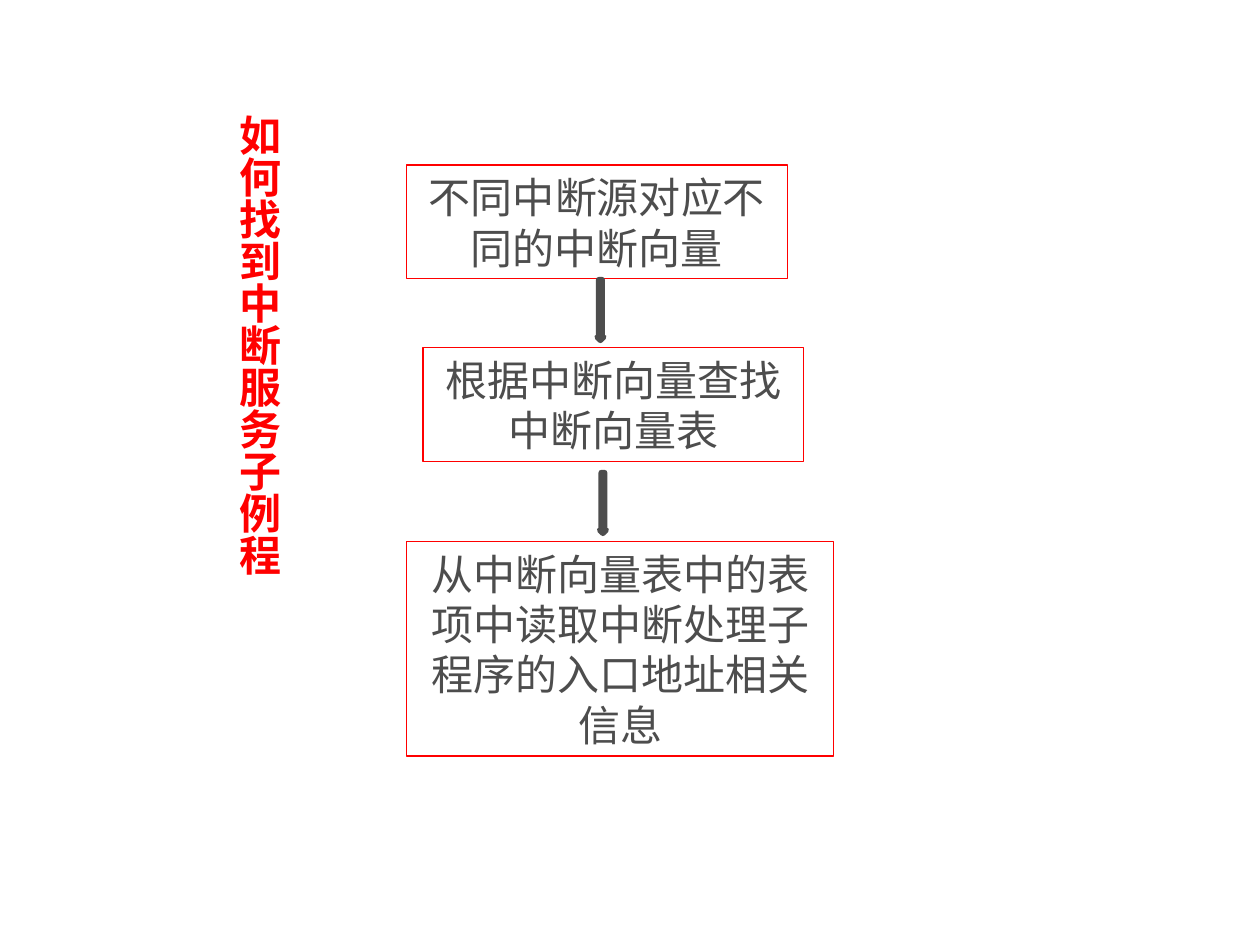
from dataclasses import dataclass

from pptx import Presentation
from pptx.dml.color import RGBColor as Color
from pptx.enum.shapes import MSO_SHAPE as Preset
from pptx.enum.text import MSO_ANCHOR as Anchor, PP_ALIGN as Align
from pptx.oxml.ns import qn
from pptx.util import Cm, Pt


@dataclass(frozen=True)
class Theme:
    red: Color = Color(0xFF, 0x00, 0x00)
    gray: Color = Color(0x4D, 0x4D, 0x4D)
    gradient: tuple = (Color(0x00, 0x00, 0x82), Color(0xFF, 0x82, 0x00))
    text_size: Pt = Pt(24)
    line_pitch: Pt = Pt(28.8)
    box_line: Pt = Pt(0.75)
    arrow_line: Pt = Pt(3.25)
    body_font: str = "Noto Sans CJK SC"
    title_font: str = "Times New Roman"


def apply_format(target, values):
    for name, value in values.items():
        setattr(target, name, value)


class FlowSlide:
    def __init__(self, presentation, theme):
        self.theme = theme
        self.slide = presentation.slides.add_slide(presentation.slide_layouts[6])

    def label(self, shape, text, color, font_name, bold, margins, spacing=None):
        frame = shape.text_frame
        horizontal, vertical = (Cm(margin) for margin in margins)
        apply_format(frame, {
            "word_wrap": True, "vertical_anchor": Anchor.TOP,
            "margin_left": horizontal, "margin_right": horizontal,
            "margin_top": vertical, "margin_bottom": vertical,
        })
        paragraph = frame.paragraphs[0]
        apply_format(paragraph, {"alignment": Align.CENTER, "line_spacing": spacing})
        run = paragraph.add_run()
        run.text = text
        apply_format(run.font, {"name": font_name, "size": self.theme.text_size, "bold": bold})
        run.font.color.rgb = color
        properties = run._r.get_or_add_rPr()
        east_asian = properties.makeelement(
            qn("a:ea"), {"typeface": self.theme.body_font})
        properties.find(qn("a:latin")).addnext(east_asian)

    def shape(self, preset, place, line_color, line_width):
        shape = self.slide.shapes.add_shape(preset, *map(Cm, place))
        shape.shadow.inherit = False
        shape.line.color.rgb = line_color
        shape.line.width = line_width
        return shape

    def step(self, text, *place):
        theme = self.theme
        shape = self.shape(Preset.RECTANGLE, place, theme.red, theme.box_line)
        shape.fill.background()
        self.label(shape, text, theme.gray, theme.body_font, False,
                   (0.25, 0.13), theme.line_pitch)

    def arrow(self, *place):
        theme = self.theme
        shape = self.shape(Preset.DOWN_ARROW, place, theme.gray, theme.arrow_line)
        shape.fill.gradient()
        shape.fill.gradient_angle = 270
        for stop, color in zip(shape.fill.gradient_stops, theme.gradient):
            stop.color.rgb = color

    def vertical_title(self, text, *place):
        theme = self.theme
        shape = self.slide.shapes.add_textbox(*map(Cm, place))
        self.label(shape, text, theme.red, theme.title_font, True, (0.13, 0.25))
        shape.text_frame._txBody.bodyPr.set("vert", "eaVert")


def main():
    presentation = Presentation()
    apply_format(presentation, {"slide_width": Cm(25.4), "slide_height": Cm(19.05)})
    flow = FlowSlide(presentation, Theme())
    flow.step("不同中断源对应不同的中断向量", 8.2, 3.33, 7.67, 2.29)
    flow.step("根据中断向量查找中断向量表", 8.53, 7.01, 7.67, 2.29)
    flow.step("从中断向量表中的表项中读取中断处理子程序的入口地址相关信息",
              8.2, 10.92, 8.61, 4.32)
    for left, top in ((12.04, 5.64), (12.09, 9.53)):
        flow.arrow(left, top, 0.13, 1.22)
    flow.vertical_title("如何找到中断服务子例程", 4.34, 2.06, 1.52, 13.82)
    presentation.save("out.pptx")


if __name__ == "__main__":
    main()
